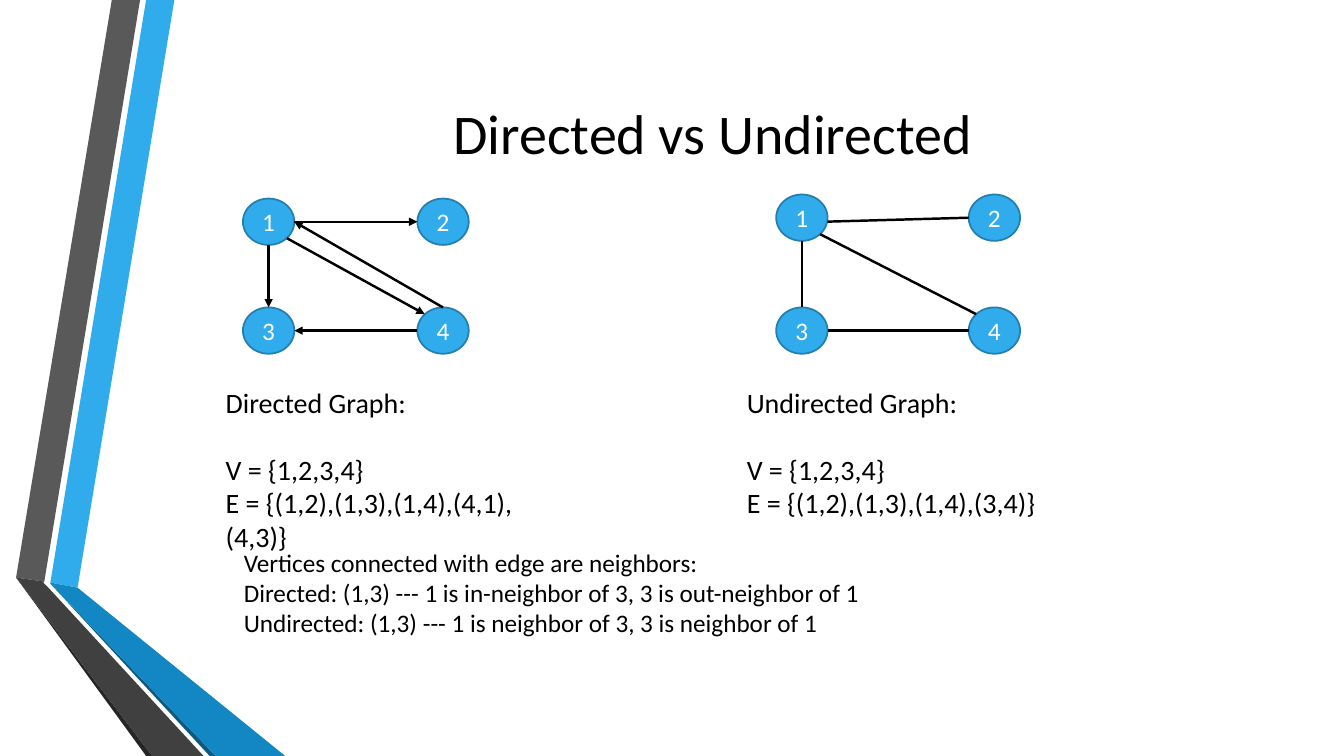
import dataclasses

import pptx
import pptx.dml.color
import pptx.enum.shapes
import pptx.enum.text
import pptx.oxml
import pptx.oxml.ns
import pptx.util

ALIGN = pptx.enum.text.PP_ALIGN
ANCHOR = pptx.enum.text.MSO_ANCHOR
COLUMNS, ROWS = 133.33, 75
CELL = pptx.util.Inches(0.1)
NODE_WIDTH, NODE_HEIGHT = 5.1, 4.6

NORTH, SOUTH, EAST, WEST = (0, -1), (0, 1), (1, 0), (-1, 0)
SOUTH_EAST, NORTH_WEST = (0.71, 0.71), (-0.71, -0.71)
LOW_EAST = (1, 0.17)


@dataclasses.dataclass(frozen=True)
class Theme:
    font: str = "Calibri"
    text: str = "000000"
    node: str = "30ACEC"
    node_border: str = "247FAF"
    node_text: str = "FFFFFF"
    blue: str = "30ACEC"
    blue_fold: str = "1287C3"
    blue_edge: str = "0C5A82"
    gray: str = "595959"
    gray_fold: str = "404040"
    gray_edge: str = "262626"
    title_size: int = 40
    body_size: int = 20
    note_size: int = 18
    border_width: float = 1.25
    edge_width: float = 1.75


def grid(cells):
    return round(cells * CELL)


def color(value):
    return pptx.dml.color.RGBColor.from_string(value)


class Painter:
    """Draws styled elements on one page, measured in grid cells."""

    def __init__(self, theme, page):
        self.theme = theme
        self.page = page

    def fill_frame(self, frame, lines, size, ink, align=ALIGN.LEFT):
        frame.word_wrap = True
        frame.text = "\n".join(lines)
        for para in frame.paragraphs:
            para.alignment = align
            para.font.name = self.theme.font
            para.font.size = pptx.util.Pt(size)
            para.font.color.rgb = color(ink)

    def title(self, text, left, top, width, height):
        box = self.page.shapes.title
        box.left, box.top = grid(left), grid(top)
        box.width, box.height = grid(width), grid(height)
        box.text_frame.vertical_anchor = ANCHOR.MIDDLE
        self.fill_frame(box.text_frame, [text], self.theme.title_size,
                        self.theme.text, ALIGN.CENTER)

    def text(self, lines, left, top, width, height, size):
        box = self.page.shapes.add_textbox(
            grid(left), grid(top), grid(width), grid(height))
        self.fill_frame(box.text_frame, lines, size, self.theme.text)
        box.text_frame.auto_size = pptx.enum.text.MSO_AUTO_SIZE.SHAPE_TO_FIT_TEXT
        return box.text_frame

    def ribbon(self, points, fill):
        corners = [(grid(x), grid(y)) for x, y in points]
        builder = self.page.shapes.build_freeform(*corners[0])
        builder.add_line_segments(corners[1:], close=True)
        shape = builder.convert_to_shape()
        shape.shadow.inherit = False
        shape.fill.solid()
        shape.fill.fore_color.rgb = color(fill)
        shape.line.fill.background()

    def node(self, label, left, top):
        shape = self.page.shapes.add_shape(
            pptx.enum.shapes.MSO_SHAPE.OVAL, grid(left), grid(top),
            grid(NODE_WIDTH), grid(NODE_HEIGHT))
        shape.shadow.inherit = False
        shape.fill.solid()
        shape.fill.fore_color.rgb = color(self.theme.node)
        shape.line.color.rgb = color(self.theme.node_border)
        shape.line.width = pptx.util.Pt(self.theme.border_width)
        shape.text_frame.vertical_anchor = ANCHOR.MIDDLE
        self.fill_frame(shape.text_frame, [label], self.theme.note_size,
                        self.theme.node_text, ALIGN.CENTER)

    def edge(self, start, end, arrow):
        line = self.page.shapes.add_connector(
            pptx.enum.shapes.MSO_CONNECTOR.STRAIGHT,
            *map(grid, start), *map(grid, end))
        line.line.color.rgb = color(self.theme.text)
        line.line.width = pptx.util.Pt(self.theme.edge_width)
        properties = line._element.spPr
        if arrow:
            tail = pptx.oxml.parse_xml(
                f'<a:tailEnd {pptx.oxml.ns.nsdecls("a")} type="triangle"/>')
            properties.find(pptx.oxml.ns.qn("a:ln")).append(tail)
        properties.append(pptx.oxml.parse_xml(
            f'<a:effectLst {pptx.oxml.ns.nsdecls("a")}/>'))

    def graph(self, nodes, edges, arrow):
        for label, (left, top) in nodes.items():
            self.node(label, left, top)

        def rim(label, side):
            left, top = nodes[label]
            return (left + NODE_WIDTH / 2 * (1 + side[0]),
                    top + NODE_HEIGHT / 2 * (1 + side[1]))

        for first, leaving, second, entering in edges:
            self.edge(rim(first, leaving), rim(second, entering), arrow)

    def definition(self, lines, left):
        frame = self.text(lines, left, 37.7, 36.5, 14.5, self.theme.body_size)
        frame.paragraphs[1].space_before = pptx.util.Pt(24)


def square(left, right, top, bottom):
    return {"1": (left, top), "2": (right, top),
            "3": (left, bottom), "4": (right, bottom)}


def main():
    theme = Theme()
    deck = pptx.Presentation()
    deck.slide_width, deck.slide_height = grid(COLUMNS), grid(ROWS)
    painter = Painter(theme, deck.slides.add_slide(deck.slide_layouts[5]))

    ribbons = [
        ([(5, 57.8), (7.7, 58.3), (17.3, 0), (14.5, 0)], theme.blue),
        ([(13.9, 0), (11.1, 0), (1.6, 57.3), (4.4, 57.7)], theme.gray),
        ([(1.6, 57.3), (14.5, ROWS), (15.1, ROWS)], theme.gray_edge),
        ([(5, 57.9), (20.8, ROWS), (21.4, ROWS)], theme.blue_edge),
        ([(5, 57.9), (21.4, ROWS), (28.3, ROWS), (7.7, 58.3), (5, 57.8)],
         theme.blue_fold),
        ([(20.2, ROWS), (4.8, 58.3), (4.3, 57.8), (4.4, 57.7), (1.6, 57.3),
          (15.1, ROWS)], theme.gray_fold),
    ]
    for points, fill in ribbons:
        painter.ribbon(points, fill)

    painter.title("Directed vs Undirected", 15.9, 3.5, 109.6, 19.2)

    painter.graph(square(24.1, 41.4, 19.7, 30.5), [
        ("1", EAST, "2", WEST),
        ("1", SOUTH, "3", NORTH),
        ("1", SOUTH_EAST, "4", NORTH_WEST),
        ("4", WEST, "3", EAST),
        ("4", NORTH, "1", EAST),
    ], arrow=True)
    painter.graph(square(77, 96.1, 19.3, 30.5), [
        ("1", SOUTH, "3", NORTH),
        ("1", LOW_EAST, "2", WEST),
        ("1", SOUTH_EAST, "4", NORTH_WEST),
        ("3", EAST, "4", WEST),
    ], arrow=False)

    painter.definition(["Directed Graph:", "V = {1,2,3,4}",
                        "E = {(1,2),(1,3),(1,4),(4,1),(4,3)}"], 21.4)
    painter.definition(["Undirected Graph:", "V = {1,2,3,4}",
                        "E = {(1,2),(1,3),(1,4),(3,4)}"], 73.1)
    painter.text([
        "Vertices connected with edge are neighbors:",
        "Directed: (1,3) --- 1 is in-neighbor of 3, 3 is out-neighbor of 1",
        "Undirected: (1,3) --- 1 is neighbor of 3, 3 is neighbor of 1",
    ], 23.2, 53.8, 74.9, 10.1, theme.note_size)

    deck.save("out.pptx")


if __name__ == "__main__":
    main()
